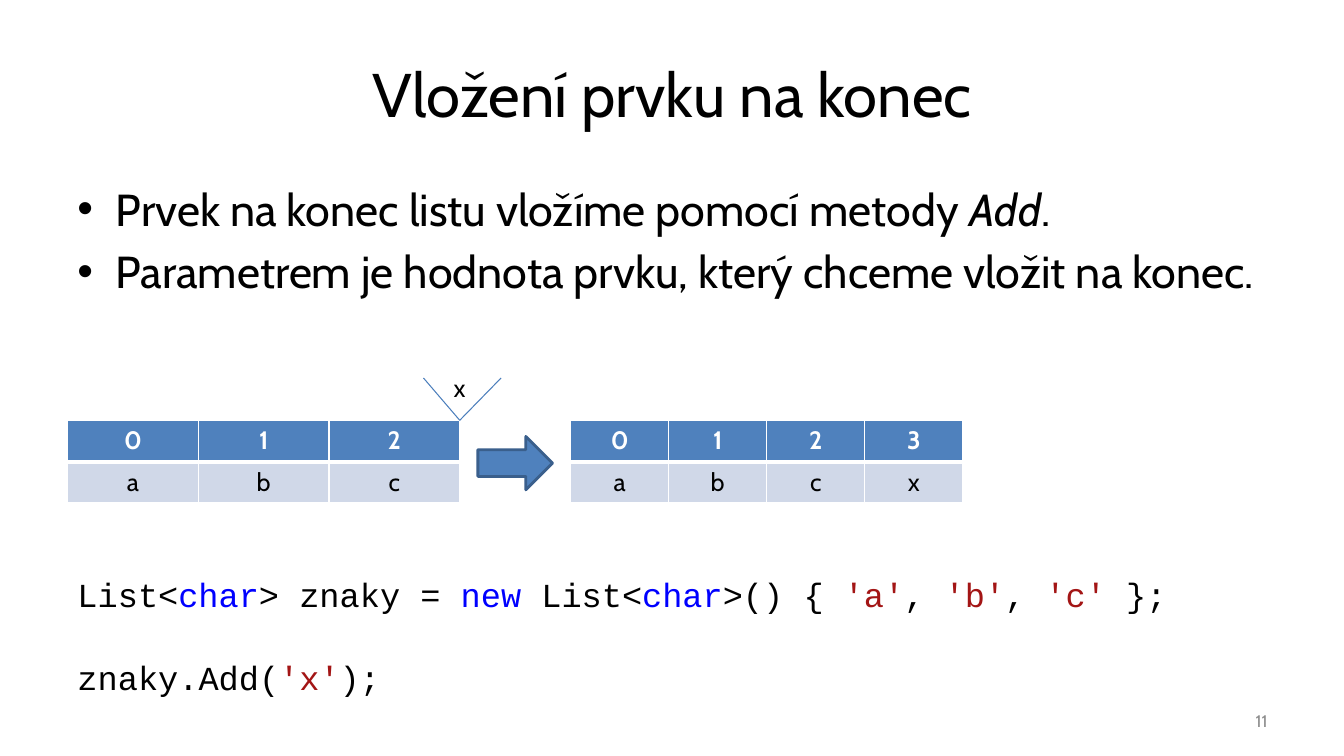
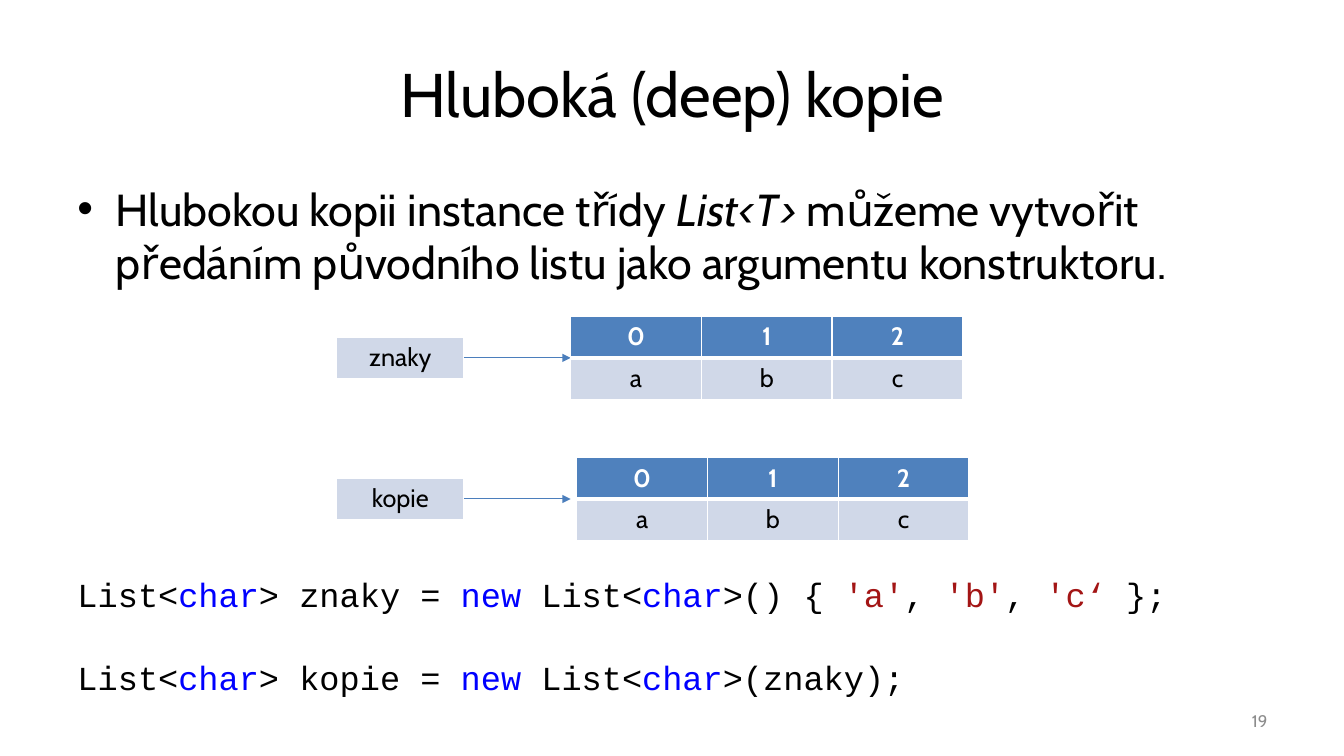
from pptx import Presentation
from pptx.dml.color import RGBColor
from pptx.enum import shapes, text
from pptx.oxml import parse_xml
from pptx.oxml.ns import nsdecls
from pptx.util import Inches, Pt

BLACK, WHITE, GRAY = "000000", "FFFFFF", "8C8C8C"
BLUE, PALE, ARROW_EDGE, LINE = "4F81BD", "D0D8E8", "3A5F8C", "4B7EBC"
KEYWORD, LITERAL = "0000FF", "A31515"
BODY_FONT, CODE_FONT = "Cabin", "Courier New"
LEFT, CONTENT_WIDTH = 0.67, 12
ROW_HEIGHT, LIST_WIDTH, RESULT_LEFT = 0.41, 3.89, 5.66
LEFT_ALIGN, CENTER, RIGHT = text.PP_ALIGN.LEFT, text.PP_ALIGN.CENTER, text.PP_ALIGN.RIGHT
TOP, MIDDLE = text.MSO_ANCHOR.TOP, text.MSO_ANCHOR.MIDDLE


def rgb(color):
    return RGBColor.from_string(color)


def element(xml):
    tag, _, rest = xml.partition(" ")
    return parse_xml(f"<a:{tag} {nsdecls('a')} {rest}")


def style(font, size, color=BLACK, name=BODY_FONT, bold=False, italic=False):
    font.name, font.size, font.bold, font.italic = name, Pt(size), bold, italic
    font.color.rgb = rgb(color)


def add_text(slide, box, size, lines, align=LEFT_ALIGN, anchor=TOP, wrap=True,
             gap=0, name=BODY_FONT, color=BLACK):
    frame = slide.shapes.add_textbox(*map(Inches, box)).text_frame
    frame.word_wrap = wrap
    frame.vertical_anchor = anchor
    for index, pieces in enumerate(lines):
        paragraph = frame.add_paragraph() if index else frame.paragraphs[0]
        paragraph.alignment = align
        if index:
            paragraph.space_before = Pt(gap)
        for wording, changes in pieces:
            run = paragraph.add_run()
            run.text = wording
            style(run.font, size, **{"name": name, "color": color, **changes})
    return frame


def add_bullets(slide, lines):
    marked = [[(piece, {"italic": i % 2 == 1}) for i, piece in enumerate(line.split("*")) if piece]
              for line in lines]
    frame = add_text(slide, (LEFT, 1.75, CONTENT_WIDTH, 1.25), 32, marked, gap=6.4)
    for paragraph in frame.paragraphs:
        properties = paragraph._p.get_or_add_pPr()
        properties.set("marL", str(Inches(0.38)))
        properties.set("indent", str(Inches(-0.38)))
        properties.append(element('buFont typeface="Arial"/>'))
        properties.append(element('buChar char="•"/>'))


def code_color(piece):
    if piece in ("char", "new"):
        return KEYWORD
    return LITERAL if piece.startswith("'") else BLACK


def add_code(slide, lines):
    colored = [[(piece, {"color": code_color(piece)}) for piece in line.split("|") if piece]
               for line in lines]
    add_text(slide, (LEFT, 5.64, 11.18, 1.31), 24, colored, gap=30.7, name=CODE_FONT)


def set_borders(cell, widths):
    properties = cell._tc.get_or_add_tcPr()
    for index, (side, width) in enumerate(zip("LRTB", widths)):
        properties.insert(index, element(
            f'ln{side} w="{Pt(width)}"><a:solidFill><a:srgbClr val="{WHITE}"/>'
            f'</a:solidFill></a:ln{side}>'))


def add_grid(slide, left, top, width, rows, header=True):
    columns = len(rows[0])
    grid = slide.shapes.add_table(len(rows), columns, Inches(left), Inches(top), Inches(width),
                                  Inches(ROW_HEIGHT * len(rows))).table
    grid.first_row = header
    grid.horz_banding = False
    for column in grid.columns:
        column.width = Inches(width / columns)
    for r, values in enumerate(rows):
        grid.rows[r].height = Inches(ROW_HEIGHT)
        is_header = header and r == 0
        for c, value in enumerate(values):
            cell = grid.cell(r, c)
            cell.text = value
            cell.fill.solid()
            cell.fill.fore_color.rgb = rgb(BLUE if is_header else PALE)
            set_borders(cell, (1, 1, 3 if r else 1, 3 if is_header else 1))
            paragraph = cell.text_frame.paragraphs[0]
            paragraph.alignment = CENTER
            style(paragraph.runs[0].font, 18, WHITE if is_header else BLACK, bold=is_header)


def add_list(slide, left, top, items):
    indices = [str(i) for i in range(len(items))]
    add_grid(slide, left, top, LIST_WIDTH, [indices, list(items)])


def add_line(slide, start, end, arrow=False):
    line = slide.shapes.add_connector(shapes.MSO_CONNECTOR.STRAIGHT, *map(Inches, start + end))
    line.line.color.rgb = rgb(LINE)
    line.line.width = Pt(0.75)
    if arrow:
        line.line._get_or_add_ln().append(element('tailEnd type="triangle"/>'))
    line._element.spPr.append(element("effectLst />"))


def add_block_arrow(slide, box):
    arrow = slide.shapes.add_shape(shapes.MSO_SHAPE.RIGHT_ARROW, *map(Inches, box))
    arrow.shadow.inherit = False
    arrow.fill.solid()
    arrow.fill.fore_color.rgb = rgb(BLUE)
    arrow.line.color.rgb = rgb(ARROW_EDGE)
    arrow.line.width = Pt(2)


def add_slide(deck, title, number, bullets, code):
    slide = deck.slides.add_slide(deck.slide_layouts[6])
    add_text(slide, (LEFT, 0.3, CONTENT_WIDTH, 1.25), 44, [[(title, {})]], CENTER, MIDDLE)
    add_bullets(slide, bullets)
    add_text(slide, (9.56, 6.95, 3.11, 0.4), 12, [[(number, {})]], RIGHT, MIDDLE, color=GRAY)
    add_code(slide, code)
    return slide


def add_append_slide(deck):
    slide = add_slide(
        deck, "Vložení prvku na konec", "11",
        ["Prvek na konec listu vložíme pomocí metody *Add*.",
         "Parametrem je hodnota prvku, který chceme vložit na konec."],
        ["List<|char|> znaky = |new| List<|char|>() { |'a'|, |'b'|, |'c'| };",
         "znaky.Add(|'x'|);"])
    lists_top = 4.17
    add_list(slide, LEFT, lists_top, "abc")
    add_list(slide, RESULT_LEFT, lists_top, "abcx")
    add_block_arrow(slide, (4.74, 4.33, 0.74, 0.53))
    for wedge_left in (4.2, 4.97):
        add_line(slide, (wedge_left, 3.75), (LEFT + LIST_WIDTH, lists_top))
    add_text(slide, (4.4, 3.64, 0.31, 0.4), 18, [[("x", {})]], CENTER, wrap=False)


def add_deep_copy_slide(deck):
    slide = add_slide(
        deck, "Hluboká (deep) kopie", "19",
        ["Hlubokou kopii instance třídy *List<T> *můžeme vytvořit "
         "předáním původního listu jako argumentu konstruktoru."],
        ["List<|char|> znaky = |new| List<|char|>() { |'a'|, |'b'|, |'c‘| };",
         "List<|char|> kopie = |new| List<|char|>(znaky);"])
    variable_left, variable_width = 3.34, 1.26
    for variable, list_left, top in (("znaky", RESULT_LEFT, 3.14), ("kopie", 5.72, 4.54)):
        middle = top + ROW_HEIGHT
        add_grid(slide, variable_left, middle - ROW_HEIGHT / 2, variable_width,
                 [[variable]], header=False)
        add_line(slide, (variable_left + variable_width, middle), (RESULT_LEFT, middle), arrow=True)
        add_list(slide, list_left, top, "abc")


def main():
    deck = Presentation()
    deck.slide_width, deck.slide_height = Inches(13.33), Inches(7.5)
    add_append_slide(deck)
    add_deep_copy_slide(deck)
    deck.save("out.pptx")


if __name__ == "__main__":
    main()
